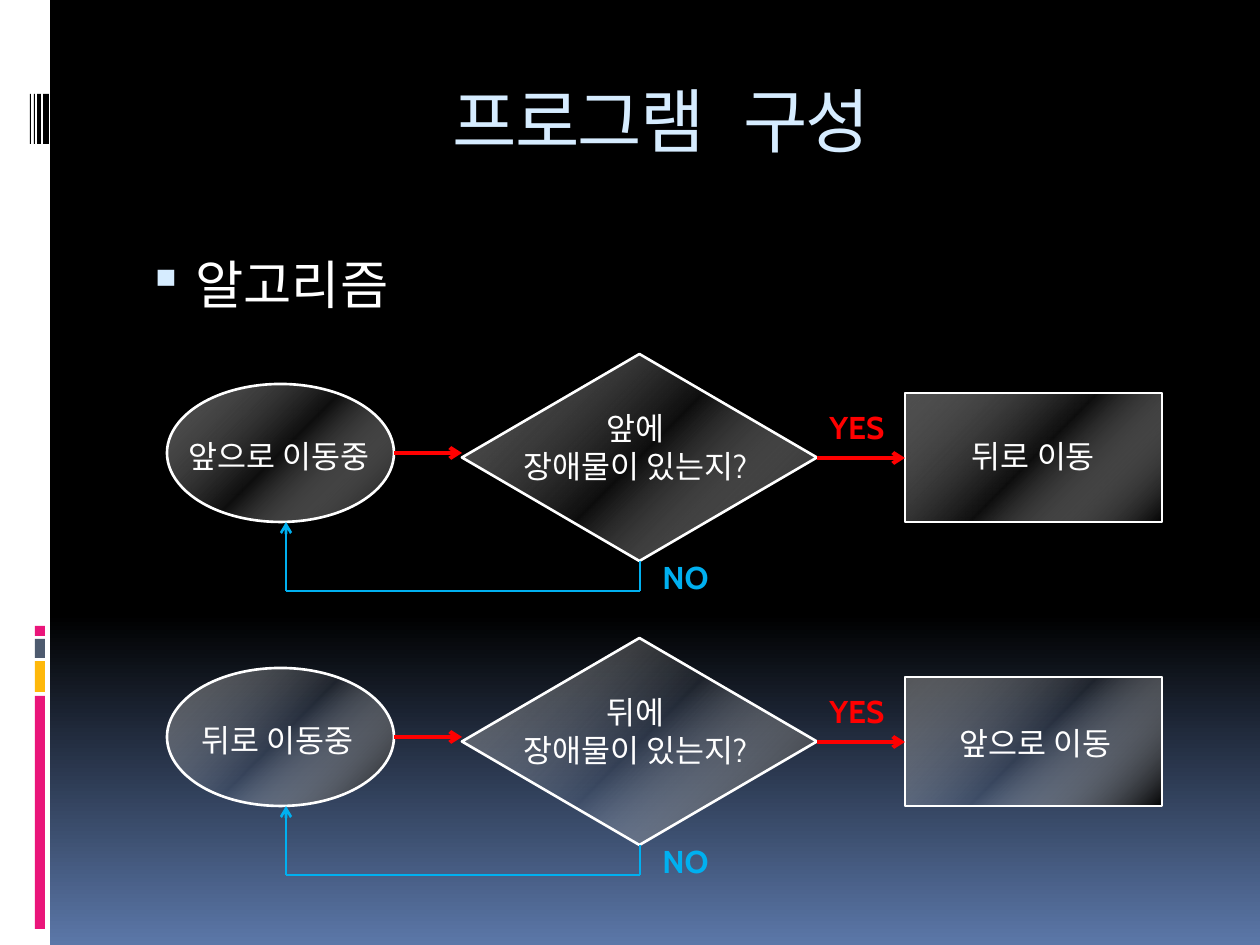
from pptx import Presentation
from pptx import util as u
from pptx.dml.color import RGBColor
from pptx.enum import shapes, text
from pptx.oxml import parse_xml
from pptx.oxml.ns import nsdecls, qn

WHITE = RGBColor(0xFF, 0xFF, 0xFF)
BLACK = RGBColor(0x00, 0x00, 0x00)
PINK = RGBColor(0xEA, 0x15, 0x7A)
AMBER = RGBColor(0xFE, 0xB8, 0x0A)
SLATE = RGBColor(0x4E, 0x5B, 0x6F)
ICE = RGBColor(0xD6, 0xEC, 0xFF)
GRAY = RGBColor(0x80, 0x80, 0x80)
STEEL = RGBColor(0x5B, 0x77, 0xA8)
RED = RGBColor(0xFF, 0x00, 0x00)
BLUE = RGBColor(0x00, 0xB0, 0xF0)

SKY = [(0, BLACK, 100), (65, BLACK, 100), (100, STEEL, 100)]
GLASS = [(0, BLACK, 100), (50, WHITE, 5), (100, GRAY, 61)]
DOWNWARD = '<a:lin {} ang="5400000" scaled="0"/>'
FROM_CORNER = '<a:path {} path="circle"><a:fillToRect l="100000" t="100000"/></a:path>'
TITLE_SHADOW = (
    '<a:effectLst {}><a:outerShdw blurRad="50800" dist="76200" dir="5400000">'
    '<a:srgbClr val="808080"><a:alpha val="65000"/></a:srgbClr>'
    '</a:outerShdw></a:effectLst>'
)
ROW_PITCH = 284


def px(length):
    return u.Emu(round(length * 914400 / 126))


def xml(template):
    return parse_xml(template.format(nsdecls("a")))


def paint_gradient(fill, owner, stops, direction):
    fill.gradient()
    gradient = owner.find(".//" + qn("a:gradFill"))
    for child in list(gradient):
        gradient.remove(child)
    stop_xml = "".join(
        f'<a:gs pos="{place * 1000}"><a:srgbClr val="{color}">'
        f'<a:alpha val="{alpha * 1000}"/></a:srgbClr></a:gs>'
        for place, color, alpha in stops
    )
    gradient.append(xml("<a:gsLst {}>" + stop_xml + "</a:gsLst>"))
    gradient.append(xml(direction))


def write(para, words, size=18, font="Cabin", color=WHITE, bold=False, align=None):
    para.alignment = align
    span = para.add_run()
    span.text = words
    span.font.size = u.Pt(size)
    span.font.name = font
    span.font.bold = bold
    span.font.color.rgb = color
    east_asian = xml("<a:ea {}/>")
    east_asian.set("typeface", font)
    span.font._element.find(qn("a:latin")).addnext(east_asian)
    return span


class SlidePainter:
    """Draws styled elements on the current slide, measured in px."""

    def __init__(self, slide):
        self.slide = slide
        self.canvas = slide.shapes

    def start_group(self):
        self.canvas = self.slide.shapes.add_group_shape().shapes

    def background(self):
        paint_gradient(self.slide.background.fill, self.slide.element, SKY, DOWNWARD)

    def shape(self, kind, *place):
        shape = self.canvas.add_shape(kind, *map(px, place))
        shape.shadow.inherit = False
        return shape

    def bar(self, color, *place):
        bar = self.shape(shapes.MSO_SHAPE.RECTANGLE, *place)
        bar.fill.solid()
        bar.fill.fore_color.rgb = color
        bar.line.fill.background()

    def node(self, kind, *place):
        node = self.shape(kind, *place)
        paint_gradient(node.fill, node.element, GLASS, FROM_CORNER)
        node.line.color.rgb = WHITE
        node.line.width = u.Pt(1.5)

    def line(self, start, end, color, width, arrow=False):
        line = self.canvas.add_connector(
            shapes.MSO_CONNECTOR.STRAIGHT, *map(px, start + end))
        line.line.color.rgb = color
        line.line.width = u.Pt(width)
        properties = line.element.spPr
        if arrow:
            properties.find(qn("a:ln")).append(xml('<a:tailEnd {} type="arrow"/>'))
        properties.append(xml("<a:effectLst {}/>"))

    def box(self, *place, wrap=True):
        frame = self.canvas.add_textbox(*map(px, place)).text_frame
        frame.word_wrap = wrap
        if not wrap:
            frame.auto_size = text.MSO_AUTO_SIZE.SHAPE_TO_FIT_TEXT
        return frame

    def label(self, lines, *place, **style):
        frame = self.box(*place, wrap=False)
        for index, words in enumerate(lines.split("\n")):
            para = frame.add_paragraph() if index else frame.paragraphs[0]
            write(para, words, **style)

    def title(self, words, *place):
        span = write(self.box(*place).paragraphs[0], words, size=40,
                     font="DejaVu Sans Mono", color=ICE, align=text.PP_ALIGN.CENTER)
        properties = span.font._element
        properties.set("spc", "-100")
        properties.find(qn("a:solidFill")).addnext(xml(TITLE_SHADOW))

    def bullet(self, words, *place):
        para = self.box(*place).paragraphs[0]
        write(para, words, size=30)
        para.space_before = u.Pt(7)
        properties = para._p.get_or_add_pPr()
        properties.set("marL", str(px(57)))
        properties.set("indent", str(-px(48)))
        for mark in (f'<a:buClr {{}}><a:srgbClr val="{ICE}"/></a:buClr>',
                     '<a:buSzPct {} val="95000"/>',
                     '<a:buChar {} char="▪"/>'):
            properties.append(xml(mark))

    def flow(self, drop, moving, question, action, moving_place, action_place):
        centered = {"align": text.PP_ALIGN.CENTER}
        self.start_group()
        self.node(shapes.MSO_SHAPE.OVAL, 167, 384 + drop, 227, 138)
        self.node(shapes.MSO_SHAPE.FLOWCHART_DECISION, 462, 354 + drop, 355, 207)
        self.node(shapes.MSO_SHAPE.FLOWCHART_PROCESS, 905, 393 + drop, 257, 129)
        self.label(moving, *moving_place, **centered)
        self.label(question, 501, 403 + drop, 268, 89, **centered)
        self.label(action, *action_place, **centered)
        self.line((817, 458 + drop), (905, 458 + drop), RED, 2.25, arrow=True)
        self.line((394, 453 + drop), (462, 453 + drop), RED, 2.25, arrow=True)
        corners = [(640, 561), (640, 591), (286, 591), (286, 522)]
        route = [(x, y + drop) for x, y in corners]
        for start, end in zip(route, route[1:]):
            self.line(start, end, BLUE, 1.5, arrow=end == route[-1])
        self.label("NO", 650, 552 + drop, 72, 51, color=BLUE, bold=True)
        self.label("YES", 817, 402 + drop, 82, 51, color=RED, bold=True)


def main():
    deck = Presentation()
    deck.slide_width, deck.slide_height = px(1260), px(945)
    page = SlidePainter(deck.slides.add_slide(deck.slide_layouts[6]))
    page.background()
    page.bar(WHITE, 0, 0, 50, 945)
    for color, top, height in ((PINK, 696, 233), (AMBER, 661, 31),
                               (SLATE, 639, 19), (PINK, 626, 10)):
        page.bar(color, 35, top, 10, height)
    for left, width in ((43, 6), (37, 4), (34, 1), (30, 1)):
        page.bar(BLACK, left, 94, width, 50)
    page.title("프로그램 구성", 126, 71, 1071, 126)
    page.bullet("알고리즘", 126, 246, 1071, 89)
    page.flow(0, "앞으로 이동중", "앞에\n장애물이 있는지?", "뒤로 이동",
              (167, 431, 223, 51), (954, 431, 159, 51))
    page.flow(ROW_PITCH, "뒤로 이동중", "뒤에\n장애물이 있는지?", "앞으로 이동",
              (183, 715, 190, 51), (941, 718, 190, 51))
    deck.save("out.pptx")


if __name__ == "__main__":
    main()
